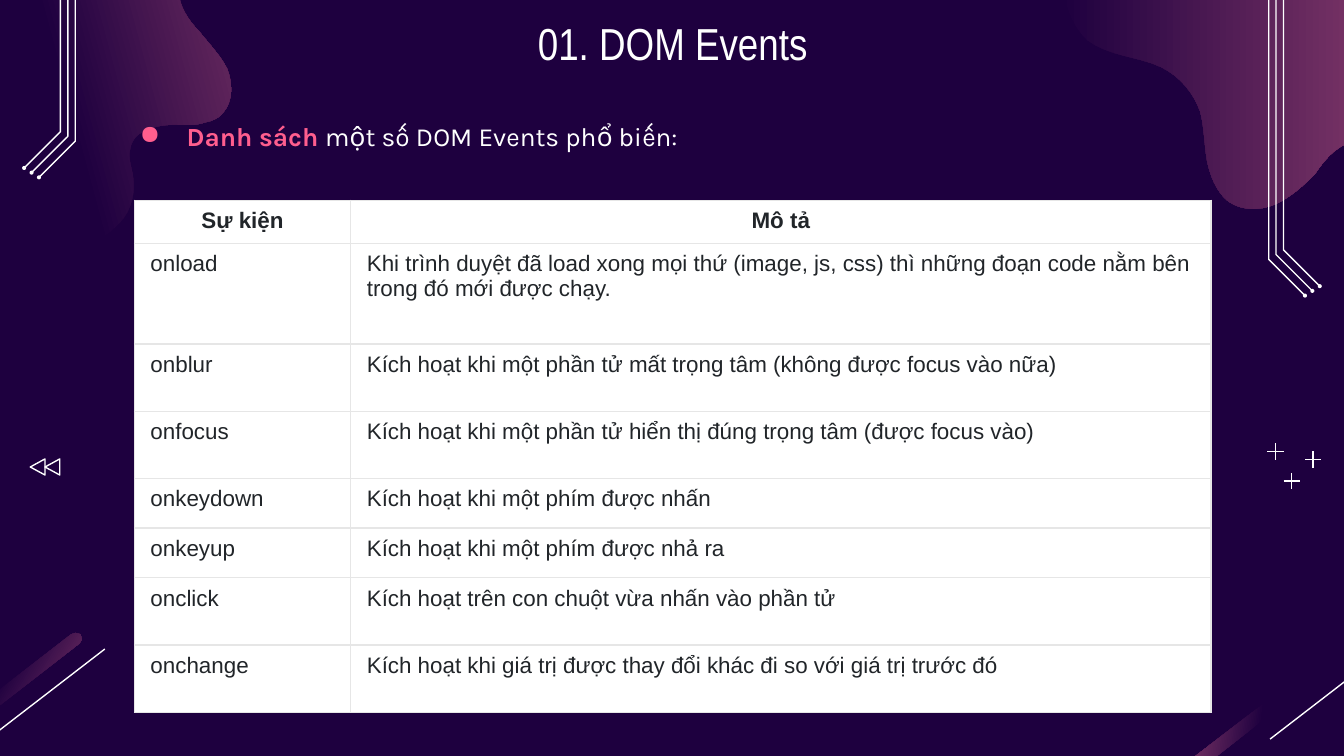
import copy
from dataclasses import dataclass

import lxml.etree
import pptx
import pptx.dml.color
import pptx.enum.shapes
import pptx.enum.text
import pptx.oxml.ns
import pptx.util

Cm, Pt = pptx.util.Cm, pptx.util.Pt
qn = pptx.oxml.ns.qn
SHAPES = pptx.enum.shapes.MSO_SHAPE
CENTER = pptx.enum.text.PP_ALIGN.CENTER


@dataclass(frozen=True)
class Theme:
    night: str = "1E003F"
    plum: str = "A64D79"
    pink: str = "FF5E8E"
    white: str = "FFFFFF"
    ink: str = "212529"
    border: str = "E6E6E6"
    title_size: float = 24
    lead_size: float = 14
    table_size: float = 12
    line_width: float = 0.75
    title_font: str = "Arial Narrow"
    lead_font: str = "Karla"
    table_font: str = "Arial"


def length(inches):
    return Cm(inches * 2.54)


def rgb(color):
    return pptx.dml.color.RGBColor.from_string(color)


def add_text(paragraph, text, *, size, font, color, bold=False, align=None):
    run = paragraph.add_run()
    run.text = text
    run.font.size, run.font.name, run.font.bold = Pt(size), font, bold
    run.font.color.rgb = rgb(color)
    if align is not None:
        paragraph.alignment = align


def curve_points(start, curves, steps=8):
    """Points along a chain of cubic Bezier curves."""
    points = [start]
    for x1, y1, x2, y2, x3, y3 in curves:
        x0, y0 = points[-1]
        for step in range(1, steps + 1):
            t = step / steps
            weights = ((1 - t) ** 3, 3 * t * (1 - t) ** 2, 3 * t * t * (1 - t), t ** 3)
            points.append((sum(w * x for w, x in zip(weights, (x0, x1, x2, x3))),
                           sum(w * y for w, y in zip(weights, (y0, y1, y2, y3)))))
    return points


class SlideBuilder:
    def __init__(self, slide, theme):
        self.slide, self.theme, self.shapes = slide, theme, slide.shapes
        slide.background.fill.solid()
        slide.background.fill.fore_color.rgb = rgb(theme.night)

    def outline(self, shape):
        shape.shadow.inherit = False
        shape.fill.background()
        shape.line.color.rgb = rgb(self.theme.white)
        shape.line.width = Pt(self.theme.line_width)

    def freeform(self, points, close):
        places = [(length(x), length(y)) for x, y in points]
        builder = self.shapes.build_freeform(*places[0], scale=1.0)
        builder.add_line_segments(places[1:], close=close)
        return builder.convert_to_shape()

    def gradient_blob(self, points, angle, dark_until=0):
        shape = self.freeform(points, close=True)
        shape.shadow.inherit = False
        shape.line.fill.background()
        shape.fill.gradient()
        shape.fill.gradient_angle = angle
        first, last = shape.fill.gradient_stops
        first.color.rgb, last.color.rgb = rgb(self.theme.night), rgb(self.theme.plum)
        first.position, last.position = 0, 1
        if dark_until:
            stop = shape._element.spPr.find(".//" + qn("a:gs"))
            middle = copy.deepcopy(stop)
            middle.set("pos", str(int(dark_until * 100000)))
            stop.addnext(middle)

    def polyline(self, points):
        self.outline(self.freeform(points, close=False))

    def dot(self, x, y, size=0.03):
        shape = self.shapes.add_shape(SHAPES.OVAL, length(x - size / 2), length(y - size / 2),
                                      length(size), length(size))
        shape.shadow.inherit = False
        shape.fill.solid()
        shape.fill.fore_color.rgb = rgb(self.theme.white)
        shape.line.fill.background()

    def triangle(self, left, top, width, height):
        shape = self.shapes.add_shape(SHAPES.ISOSCELES_TRIANGLE,
                                      *map(length, (left, top, width, height)))
        shape.rotation = 270
        self.outline(shape)

    def line(self, x1, y1, x2, y2):
        connector = self.shapes.add_connector(pptx.enum.shapes.MSO_CONNECTOR.STRAIGHT,
                                              *map(length, (x1, y1, x2, y2)))
        connector.line.color.rgb = rgb(self.theme.white)
        connector.line.width = Pt(self.theme.line_width)
        lxml.etree.SubElement(connector._element.spPr, qn("a:effectLst"))

    def text_box(self, left, top, width, height, anchor):
        frame = self.shapes.add_textbox(*map(length, (left, top, width, height))).text_frame
        frame.word_wrap = True
        frame.vertical_anchor = anchor
        frame.margin_left = frame.margin_right = length(0.1)
        frame.margin_top = frame.margin_bottom = length(0.1)
        return frame.paragraphs[0]

    def bullet(self, paragraph, color):
        properties = paragraph._p.get_or_add_pPr()
        properties.set("marL", str(length(0.5)))
        properties.set("indent", str(length(-0.35)))
        bullet_color = lxml.etree.SubElement(properties, qn("a:buClr"))
        lxml.etree.SubElement(bullet_color, qn("a:srgbClr"), val=color)
        lxml.etree.SubElement(properties, qn("a:buChar"), char="●")

    def cell(self, cell, text, header):
        theme = self.theme
        properties = cell._tc.get_or_add_tcPr()
        for side in ("a:lnL", "a:lnR", "a:lnT", "a:lnB"):
            edge = lxml.etree.SubElement(properties, qn(side), w=str(Pt(theme.line_width)))
            fill = lxml.etree.SubElement(edge, qn("a:solidFill"))
            lxml.etree.SubElement(fill, qn("a:srgbClr"), val=theme.border)
        cell.fill.solid()
        cell.fill.fore_color.rgb = rgb(theme.white)
        cell.margin_left = cell.margin_right = length(0.12)
        cell.margin_top = cell.margin_bottom = length(0.06)
        add_text(cell.text_frame.paragraphs[0], text, size=theme.table_size,
                 font=theme.table_font, color=theme.ink, bold=header,
                 align=CENTER if header else None)

    def table(self, left, top, widths, heights, rows):
        table = self.shapes.add_table(len(rows), len(widths), length(left), length(top),
                                      length(sum(widths)), length(sum(heights))).table
        table.first_row = table.horz_banding = False
        for column, width in zip(table.columns, widths):
            column.width = length(width)
        for index, (row, height, texts) in enumerate(zip(table.rows, heights, rows)):
            row.height = length(height)
            for cell, text in zip(row.cells, texts):
                self.cell(cell, text, header=index == 0)


# Outlines in inches: each row holds two control points and an end point
LEFT_BLOB = [
    (0.74, 1.83, 0.86, 1.69, 0.9, 1.65), (0.98, 1.56, 1.01, 1.43, 0.99, 1.31),
    (0.98, 1.24, 0.95, 1.17, 0.97, 1.11), (0.98, 1.02, 1.06, 0.97, 1.14, 0.95),
    (1.24, 0.92, 1.33, 0.93, 1.42, 0.93), (1.46, 0.93, 1.5, 0.92, 1.53, 0.91),
    (1.58, 0.9, 1.63, 0.88, 1.66, 0.84), (1.74, 0.75, 1.73, 0.61, 1.69, 0.51),
    (1.64, 0.41, 1.55, 0.32, 1.48, 0.23), (1.4, 0.15, 1.33, 0.04, 1.33, -0.07),
    (1.33, -0.16, 1.36, -0.25, 1.43, -0.31), (1.47, -0.35, 1.53, -0.38, 1.59, -0.39),
    (1.68, -0.42, 1.79, -0.42, 1.9, -0.41), (2.01, -0.41, 2.12, -0.4, 2.23, -0.42),
    (2.37, -0.44, 2.46, -0.51, 2.52, -0.58), (2.59, -0.66, 2.61, -0.78, 2.58, -0.87),
    (2.56, -1.05, 2.44, -1.25, 2.33, -1.34), (2.15, -1.5, 1.9, -1.55, 1.67, -1.51),
    (1.29, -1.4, 1.03, -1.1, 0.7, -0.95), (0.65, -0.93, 0.59, -0.91, 0.54, -0.9),
    (0.22, -0.81, -0.13, -0.85, -0.47, -0.82), (-0.62, -0.81, -0.77, -0.78, -0.91, -0.74),
    (-1.04, -0.71, -1.16, -0.67, -1.28, -0.61), (-1.45, -0.54, -1.62, -0.44, -1.74, -0.3),
    (-1.86, -0.17, -1.95, 0.02, -1.94, 0.22), (-1.93, 0.46, -1.76, 0.68, -1.56, 0.8),
    (-1.35, 0.93, -1.12, 0.97, -0.88, 0.99), (-0.74, 1.01, -0.6, 1.01, -0.46, 1.06),
    (-0.32, 1.1, -0.19, 1.19, -0.13, 1.33), (-0.08, 1.44, -0.08, 1.55, -0.03, 1.66),
    (0.06, 1.84, 0.29, 1.95, 0.48, 1.9)]
RIGHT_BLOB = [
    (11.25, 0.13, 11.18, -0.13, 11.05, -0.35), (10.94, -0.54, 10.78, -0.7, 10.58, -0.77),
    (10.36, -0.85, 10.12, -0.81, 9.89, -0.84), (9.67, -0.87, 9.45, -0.97, 9.29, -1.13),
    (9.18, -1.23, 9.09, -1.35, 8.97, -1.41), (8.83, -1.48, 8.67, -1.46, 8.52, -1.43),
    (8.4, -1.4, 8.28, -1.36, 8.19, -1.29), (8.03, -1.17, 7.96, -0.97, 7.93, -0.78),
    (7.9, -0.65, 7.89, -0.51, 7.89, -0.38), (7.89, -0.31, 7.89, -0.24, 7.9, -0.18),
    (7.91, 0, 7.96, 0.18, 8.09, 0.3), (8.25, 0.42, 8.47, 0.42, 8.64, 0.5),
    (8.78, 0.57, 8.88, 0.69, 8.93, 0.83), (8.96, 0.94, 8.96, 1.07, 8.98, 1.19),
    (9, 1.3, 9.05, 1.43, 9.14, 1.5), (9.24, 1.57, 9.38, 1.57, 9.49, 1.52),
    (9.6, 1.47, 9.69, 1.39, 9.78, 1.3), (9.83, 1.23, 9.88, 1.16, 9.95, 1.11),
    (10.02, 1.06, 10.1, 1.03, 10.18, 1.06), (10.33, 1.1, 10.38, 1.3, 10.52, 1.38),
    (10.85, 1.57, 11.08, 1.12, 11.17, 0.88), (11.22, 0.72, 11.25, 0.55, 11.25, 0.38)]
STREAK = [(0.53, 4.72), (0.56, 4.71), (0.6, 4.72), (0.61, 4.76), (0.59, 4.79),
          (-0.81, 5.88), (-0.85, 5.89), (-0.88, 5.87), (-0.89, 5.84), (-0.87, 5.8)]
EVENTS = [
    ("Sự kiện", "Mô tả"),
    ("onload", "Khi trình duyệt đã load xong mọi thứ (image, js, css) thì những đoạn code "
               "nằm bên trong đó mới được chạy."),
    ("onblur", "Kích hoạt khi một phần tử mất trọng tâm (không được focus vào nữa)"),
    ("onfocus", "Kích hoạt khi một phần tử hiển thị đúng trọng tâm (được focus vào)"),
    ("onkeydown", "Kích hoạt khi một phím được nhấn"),
    ("onkeyup", "Kích hoạt khi một phím được nhả ra"),
    ("onclick", "Kích hoạt trên con chuột vừa nhấn vào phần tử"),
    ("onchange", "Kích hoạt khi giá trị được thay đổi khác đi so với giá trị trước đó")]


def main():
    theme = Theme()
    presentation = pptx.Presentation()
    presentation.slide_width, presentation.slide_height = Cm(25.4), Cm(14.29)
    builder = SlideBuilder(presentation.slides.add_slide(presentation.slide_layouts[6]), theme)

    # Gradient blobs in the top corners
    builder.gradient_blob(curve_points((0.48, 1.9), LEFT_BLOB), angle=15, dark_until=0.5)
    builder.gradient_blob(curve_points((11.25, 0.38), RIGHT_BLOB), angle=0)

    # Streak and diagonal line in each bottom corner
    for shift, angle in ((0, 330), (9.54, 173)):
        builder.gradient_blob([(x + shift, y) for x, y in STREAK], angle, dark_until=0.5)
        builder.line(0.78 + shift, 4.83, -0.09 + shift, 5.5)

    # Bent circuit lines, mirrored on the two sides
    for start, top, direction in ((9.44, -1.19, 1), (0.56, -2.07, -1)):
        for index in range(3):
            x = start + direction * 0.055 * index
            elbow = top + 3.12 - 0.035 * index
            end = (x + direction * 0.27, elbow + 0.27)
            builder.polyline([(x, top), (x, elbow), end])
            builder.dot(*end)

    # Plus signs and rewind mark
    arm = 0.06
    for x, y in ((9.61, 3.58), (9.77, 3.42), (9.49, 3.36)):
        builder.line(x - arm, y, x + arm, y)
        builder.line(x, y - arm, x, y + arm)
    for left in (0.22, 0.33):
        builder.triangle(left, 3.42, 0.12, 0.11)

    # Lead line and title
    anchors = pptx.enum.text.MSO_ANCHOR
    lead = builder.text_box(0.79, 0.68, 8.12, 0.63, anchors.TOP)
    lead.line_spacing = 1.5
    builder.bullet(lead, theme.pink)
    for text, color, bold in (("Danh sách ", theme.pink, True),
                              ("một số DOM Events phổ biến:", theme.white, False)):
        add_text(lead, text, size=theme.lead_size, font=theme.lead_font, color=color, bold=bold)
    title = builder.text_box(0.79, 0, 8.43, 0.63, anchors.MIDDLE)
    add_text(title, "01. DOM Events", size=theme.title_size, font=theme.title_font,
             color=theme.white, align=CENTER)

    # Event table
    builder.table(1, 1.49, (1.61, 6.4), (0.27, 0.75, 0.5, 0.5, 0.37, 0.37, 0.5, 0.5), EVENTS)

    presentation.save("out.pptx")


if __name__ == "__main__":
    main()
